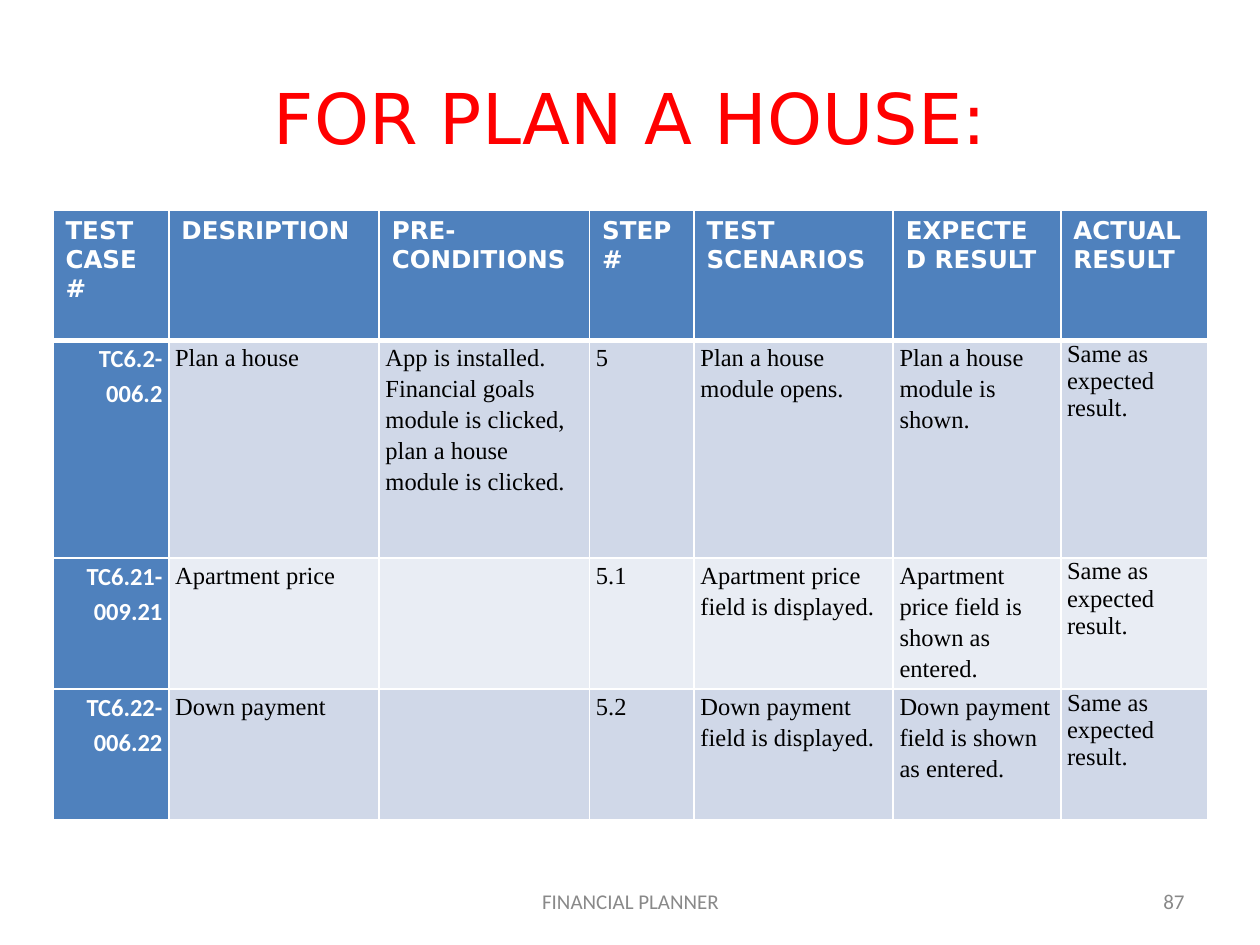
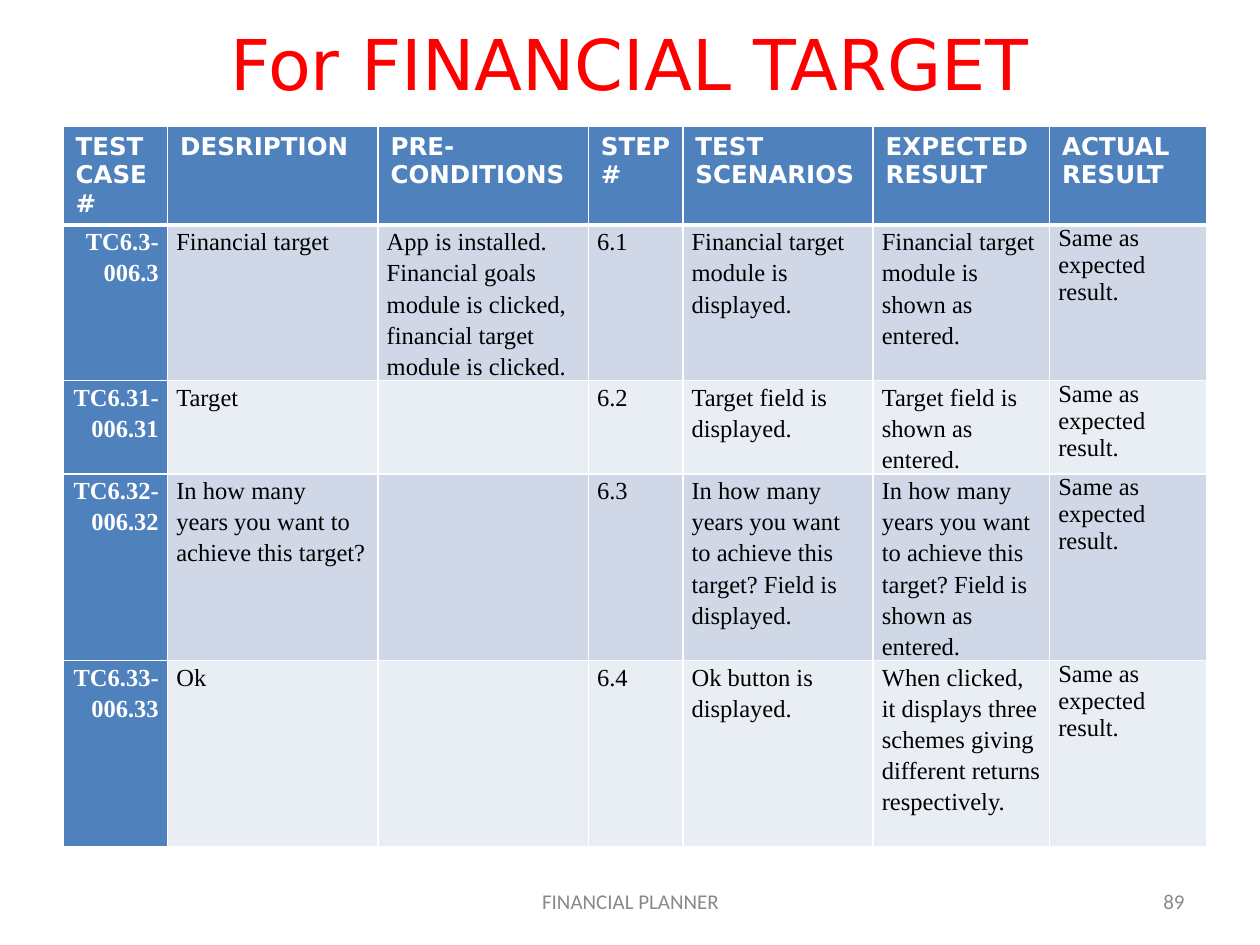
from lxml import etree
from pptx import Presentation
from pptx.dml.color import RGBColor
from pptx.enum.text import MSO_ANCHOR, PP_ALIGN
from pptx.oxml.ns import qn
from pptx.util import Inches, Pt

COLORS = {
    "title": "FF0000",
    "header": "4F81BD",
    "band_dark": "D0D8E8",
    "band_light": "E9EDF4",
    "body": "000000",
    "white": "FFFFFF",
    "footer": "898989",
}
HEADING_FONT = "DejaVu Sans"
BODY_FONT = "Times New Roman"
FOOTER_FONT = "Calibri"
TITLE_ONLY = 5

HEADINGS = ["TEST CASE#", "DESRIPTION", "PRE-\nCONDITIONS", "STEP#",
            "TEST SCENARIOS", "EXPECTED RESULT", "ACTUAL RESULT"]
ACTUAL = "Same as expected result."

# Each case: number, description, pre-conditions, step, scenario, expected result
HOUSE_CASES = [
    ["TC6.2-006.2", "Plan a house",
     "App is installed.\nFinancial goals\nmodule is clicked, plan a house\nmodule is clicked.",
     "5", "Plan a house\nmodule opens.", "Plan a house\nmodule is shown."],
    ["TC6.21-009.21", "Apartment price", "", "5.1",
     "Apartment price\nfield is displayed.",
     "Apartment\nprice field is\nshown as\nentered."],
    ["TC6.22-006.22", "Down payment", "", "5.2",
     "Down payment\nfield is displayed.",
     "Down payment field is shown\nas entered."],
]
TARGET_CASES = [
    ["TC6.3-006.3", "Financial target",
     "App is installed.\nFinancial goals\nmodule is clicked, financial target\nmodule is clicked.",
     "6.1", "Financial target module is\ndisplayed.",
     "Financial target module is\nshown as\nentered."],
    ["TC6.31-006.31", "Target", "", "6.2",
     "Target field is\ndisplayed.", "Target field is\nshown as\nentered."],
    ["TC6.32-006.32",
     "In how many\nyears you want to achieve this target?", "", "6.3",
     "In how many\nyears you want\nto achieve this\ntarget? Field is\ndisplayed.",
     "In how many\nyears you want to achieve this\ntarget? Field is shown as\nentered."],
    ["TC6.33-006.33", "Ok", "", "6.4", "Ok button is\ndisplayed.",
     "When clicked, it displays three schemes giving different returns respectively."],
]


def write(frame, text, *, font, size, color, bold=False,
          align=PP_ALIGN.LEFT, spacing=None):
    """Fill a text frame, one paragraph for each line of text."""
    frame.word_wrap = True
    for index, line in enumerate(text.split("\n")):
        paragraph = frame.paragraphs[0] if index == 0 else frame.add_paragraph()
        paragraph.alignment = align
        if spacing:
            paragraph.line_spacing = spacing
        run = paragraph.add_run()
        run.text = line
        run.font.name = font
        run.font.size = Pt(size)
        run.font.bold = bold
        run.font.color.rgb = RGBColor.from_string(COLORS[color])


def add_title(slide, text, box):
    title = slide.shapes.title
    title.left, title.top, title.width, title.height = map(Inches, box)
    title.text_frame.vertical_anchor = MSO_ANCHOR.MIDDLE
    write(title.text_frame, text, font=HEADING_FONT, size=40, color="title",
          align=PP_ALIGN.CENTER)


def add_footer(slide, text, box, align):
    footer = slide.shapes.add_textbox(*map(Inches, box))
    footer.text_frame.vertical_anchor = MSO_ANCHOR.MIDDLE
    write(footer.text_frame, text, font=FOOTER_FONT, size=12, color="footer",
          align=align)


def set_borders(cell, top, bottom):
    widths = {"a:lnL": 1, "a:lnR": 1, "a:lnT": top, "a:lnB": bottom}
    for tag, width in widths.items():
        line = etree.SubElement(cell._tc.get_or_add_tcPr(), qn(tag),
                                w=str(Pt(width)))
        fill = etree.SubElement(line, qn("a:solidFill"))
        etree.SubElement(fill, qn("a:srgbClr"), val=COLORS["white"])


def fill_cell(cell, color):
    cell.fill.solid()
    cell.fill.fore_color.rgb = RGBColor.from_string(COLORS[color])


def write_case_cell(cell, text, column, inset, number_font):
    if not text:
        return
    cell.margin_left = cell.margin_right = Inches(inset)
    cell.margin_top = cell.margin_bottom = 0
    is_number = column == 0
    is_actual = column == len(HEADINGS) - 1
    write(cell.text_frame, text, size=14,
          font=number_font if is_number else BODY_FONT,
          color="white" if is_number else "body", bold=is_number,
          align=PP_ALIGN.RIGHT if is_number else PP_ALIGN.LEFT,
          spacing=None if is_actual else 1.15)


def add_test_table(slide, cases, left, top, widths, heights, inset, number_font):
    table = slide.shapes.add_table(
        len(heights), len(widths), Inches(left), Inches(top),
        Inches(sum(widths)), Inches(sum(heights))).table
    for column, width in zip(table.columns, widths):
        column.width = Inches(width)
    for row, height in zip(table.rows, heights):
        row.height = Inches(height)

    for column, heading in enumerate(HEADINGS):
        cell = table.cell(0, column)
        set_borders(cell, top=1, bottom=3)
        fill_cell(cell, "header")
        write(cell.text_frame, heading, font=HEADING_FONT, size=14,
              color="white", bold=True)

    for row, case in enumerate(cases, start=1):
        band = "band_dark" if row % 2 else "band_light"
        for column, text in enumerate([*case, ACTUAL]):
            cell = table.cell(row, column)
            set_borders(cell, top=3 if row == 1 else 1, bottom=1)
            fill_cell(cell, "header" if column == 0 else band)
            write_case_cell(cell, text, column, inset, number_font)


def add_test_slide(deck, title, title_box, page, **table):
    slide = deck.slides.add_slide(deck.slide_layouts[TITLE_ONLY])
    add_title(slide, title, title_box)
    add_test_table(slide, **table)
    add_footer(slide, page, (7.17, 6.95, 2.33, 0.4), PP_ALIGN.RIGHT)
    add_footer(slide, "FINANCIAL PLANNER", (3.42, 6.95, 3.17, 0.4),
               PP_ALIGN.CENTER)


def main():
    deck = Presentation()
    deck.slide_width, deck.slide_height = Inches(10), Inches(7.5)
    add_test_slide(
        deck, "FOR PLAN A HOUSE:", (0.5, 0.3, 9, 1.25), "87",
        cases=HOUSE_CASES, left=0.42, top=1.67,
        widths=[0.92, 1.67, 1.67, 0.83, 1.58, 1.33, 1.17],
        heights=[1.03, 1.73, 1.04, 1.04],
        inset=0.05, number_font="Calibri")
    add_test_slide(
        deck, "For FINANCIAL TARGET", (0.58, 0, 8.83, 1), "89",
        cases=TARGET_CASES, left=0.5, top=1,
        widths=[0.83, 1.67, 1.67, 0.75, 1.51, 1.4, 1.25],
        heights=[0.78, 1.23, 0.74, 1.48, 1.48],
        inset=0.07, number_font=BODY_FONT)
    deck.save("out.pptx")


if __name__ == "__main__":
    main()
